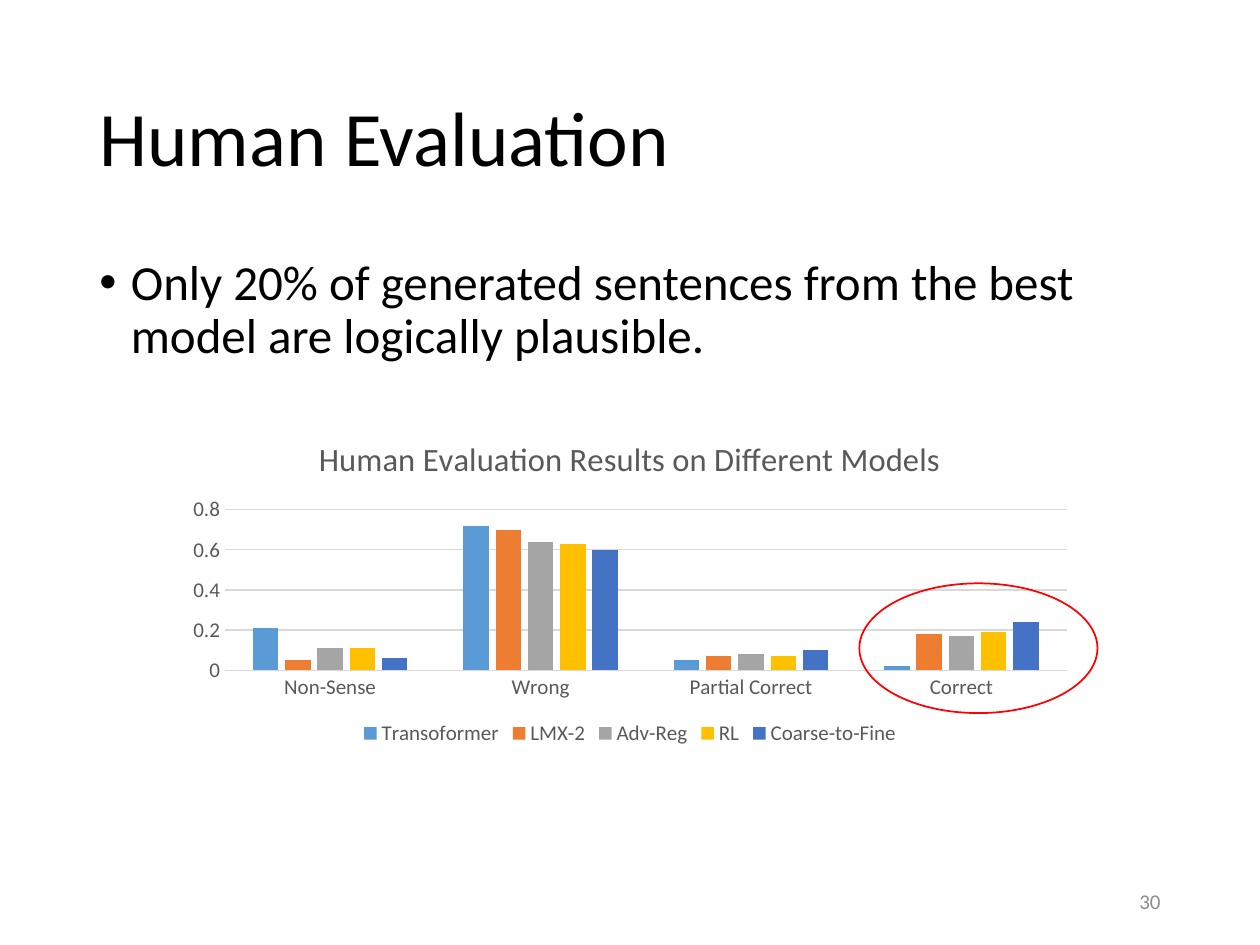
import pptx
import pptx.chart.data
import pptx.dml.color
import pptx.enum.chart
import pptx.enum.shapes
import pptx.enum.text
import pptx.oxml
import pptx.oxml.ns
import pptx.util

FONT = "Calibri"
BLACK, GREY, PALE, RULE, RED = "000000", "595959", "8C8C8C", "D9D9D9", "FF0000"
CELL = 0.25
LEFT, WIDE = 2.76, 34.48
ALIGN = pptx.enum.text.PP_ALIGN
ANCHOR = pptx.enum.text.MSO_ANCHOR

GROUPS = ["Non-Sense", "Wrong", "Partial Correct", "Correct"]
MODELS = [
    ("Transoformer", "5B9BD5", (0.21, 0.72, 0.05, 0.02)),
    ("LMX-2", "ED7D31", (0.05, 0.7, 0.07, 0.18)),
    ("Adv-Reg", "A5A5A5", (0.11, 0.64, 0.08, 0.17)),
    ("RL", "FFC000", (0.11, 0.63, 0.07, 0.19)),
    ("Coarse-to-Fine", "4472C4", (0.06, 0.6, 0.1, 0.24)),
]


def tint(code):
    return pptx.dml.color.RGBColor.from_string(code)


def grid(*cells):
    return [pptx.util.Inches(cell * CELL) for cell in cells]


def style(font, size, color):
    font.name, font.size, font.bold = FONT, pptx.util.Pt(size), False
    font.color.rgb = tint(color)


def rule(line, color, width):
    line.color.rgb, line.width = tint(color), pptx.util.Pt(width)


class Page:
    """Hold the deck and its slide, and add styled elements on a quarter-inch grid."""

    def __init__(self):
        self.deck = pptx.Presentation()
        self.deck.slide_width, self.deck.slide_height = grid(40, 30)
        self.slide = self.deck.slides.add_slide(self.deck.slide_layouts[5])
        self.shapes = self.slide.shapes

    def fill(self, shape, text, size, color, align, anchor, space=1.0):
        frame = shape.text_frame
        frame.text, frame.word_wrap, frame.vertical_anchor = text, True, anchor
        frame.auto_size = pptx.enum.text.MSO_AUTO_SIZE.NONE
        para = frame.paragraphs[0]
        para.alignment, para.line_spacing = align, space
        style(para.font, size, color)
        return para

    def title(self, text, *box):
        shape = self.shapes.title
        shape.left, shape.top, shape.width, shape.height = grid(*box)
        self.fill(shape, text, 44, BLACK, ALIGN.LEFT, ANCHOR.MIDDLE, 0.9)

    def text(self, text, size, color, align, anchor, *box, space=1.0):
        shape = self.shapes.add_textbox(*grid(*box))
        return self.fill(shape, text, size, color, align, anchor, space)

    def bullet(self, text, *box):
        para = self.text(text, 28, BLACK, ALIGN.LEFT, ANCHOR.TOP, *box, space=0.9)
        para.space_before = pptx.util.Pt(10)
        props = para._p.get_or_add_pPr()
        indent = grid(1)[0]
        props.set("marL", str(indent))
        props.set("indent", str(-indent))
        for tag, key, value in (("buFont", "typeface", "Arial"), ("buChar", "char", "•")):
            node = pptx.oxml.parse_xml(f"<a:{tag} {pptx.oxml.ns.nsdecls('a')}/>")
            node.set(key, value)
            props.append(node)

    def chart(self, title, groups, models, *box):
        enum = pptx.enum.chart
        data = pptx.chart.data.CategoryChartData()
        data.categories = groups
        for name, _, values in models:
            data.add_series(name, values)
        kind = enum.XL_CHART_TYPE.COLUMN_CLUSTERED
        chart = self.shapes.add_chart(kind, *grid(*box), data).chart
        style(chart.font, 10, BLACK)

        chart.has_title = True
        chart.chart_title.include_in_layout = False
        chart.chart_title.text_frame.text = title
        style(chart.chart_title.text_frame.paragraphs[0].font, 18.6, GREY)

        chart.has_legend = True
        chart.legend.position = enum.XL_LEGEND_POSITION.BOTTOM
        chart.legend.include_in_layout = False
        style(chart.legend.font, 12, GREY)

        for axis in (chart.category_axis, chart.value_axis):
            axis.major_tick_mark = axis.minor_tick_mark = enum.XL_TICK_MARK.NONE
            style(axis.tick_labels.font, 12, GREY)
        rule(chart.category_axis.format.line, RULE, 0.75)
        scale = chart.value_axis
        scale.format.line.fill.background()
        scale.minimum_scale, scale.maximum_scale, scale.major_unit = 0, 0.8, 0.2
        rule(scale.major_gridlines.format.line, RULE, 0.75)

        plot = chart.plots[0]
        plot.gap_width, plot.overlap, plot.vary_by_categories = 219, -27, False
        for bars, (_, color, _) in zip(plot.series, models):
            bars.format.fill.solid()
            bars.format.fill.fore_color.rgb = tint(color)

    def ring(self, color, *box):
        oval = self.shapes.add_shape(pptx.enum.shapes.MSO_SHAPE.OVAL, *grid(*box))
        oval.shadow.inherit = False
        oval.fill.background()
        rule(oval.line, color, 1)


def main():
    page = Page()
    page.title("Human Evaluation", LEFT, 1.6, WIDE, 5.8)
    page.bullet("Only 20% of generated sentences from the best model are logically plausible.",
                LEFT, 8, WIDE, 19.04)
    page.text("30", 12, PALE, ALIGN.RIGHT, ANCHOR.MIDDLE, 28.24, 27.8, 9, 1.6)
    page.chart("Human Evaluation Results on Different Models", GROUPS, MODELS,
               5.56, 13.24, 28.88, 10.6)
    page.ring(RED, 27.28, 18.52, 7.56, 4.12)
    page.deck.save("out.pptx")


if __name__ == "__main__":
    main()
